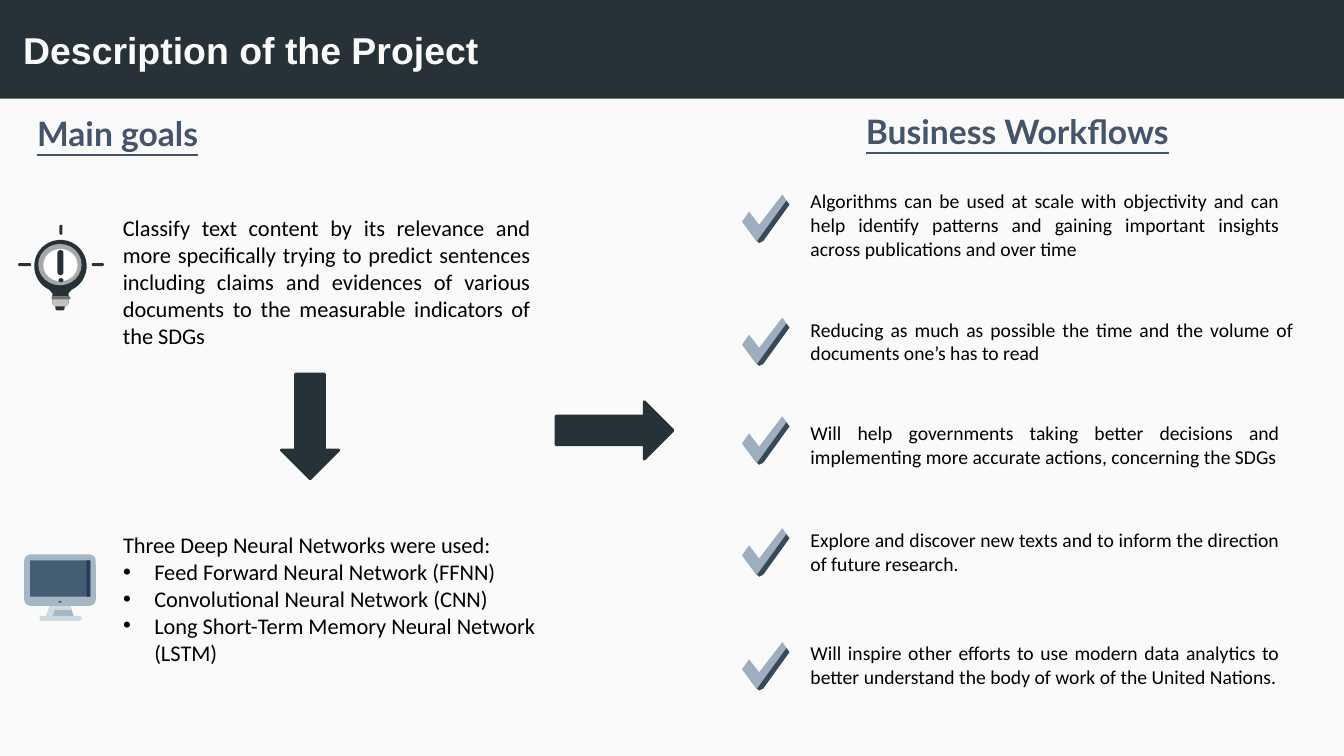
from math import cos, radians, sin

from pptx import Presentation
from pptx.dml.color import RGBColor
from pptx.enum.shapes import MSO_SHAPE
from pptx.enum.text import MSO_ANCHOR, MSO_AUTO_SIZE, PP_ALIGN
from pptx.oxml.ns import qn
from pptx.util import Inches, Pt

DARK, PALE, BLACK, HEADING = "263238", "FAFAFA", "000000", "44546A"
STEEL, SILVER, SCREEN = "A5B7C5", "CFD9E0", "445D73"

WORKFLOWS = [
    (1.83, 1.93, 4.85, "Algorithms can be used at scale with objectivity and can help identify "
     "patterns and gaining important insights across publications and over time"),
    (3.1, 3.15, 4.99, "Reducing as much as possible the time and the volume of documents one’s has to read"),
    (4.13, 4.13, 4.85, "Will help governments taking better decisions and implementing more accurate "
     "actions, concerning the SDGs"),
    (5.19, 5.24, 4.85, "Explore and discover new texts and to inform the direction of future research."),
    (6.31, 6.37, 4.85, "Will inspire other efforts to use modern data analytics to better understand "
     "the body of work of the United Nations."),
]
GOAL = ("Classify text content by its relevance and more specifically trying to predict sentences "
        "including claims and evidences of various documents to the measurable indicators of the SDGs")
NETWORKS = [
    "Three Deep Neural Networks were used:",
    "Feed Forward Neural Network (FFNN)",
    "Convolutional Neural Network (CNN)",
    "Long Short-Term Memory Neural Network (LSTM)",
]


def color(value):
    """Turn a hex string into a colour."""
    return RGBColor.from_string(value)


class SlideBuilder:
    """Hold the slide and draw its kinds of element."""

    def __init__(self, slide):
        """Set the slide and its background."""
        self.slide = slide
        slide.background.fill.solid()
        slide.background.fill.fore_color.rgb = color(PALE)

    def place(self, shape, left, top, width, height):
        """Move and size a shape."""
        shape.left, shape.top = Inches(left), Inches(top)
        shape.width, shape.height = Inches(width), Inches(height)

    def paint(self, shape, fill):
        """Give a shape a flat fill without outline or shadow."""
        shape.shadow.inherit = False
        shape.fill.solid()
        shape.fill.fore_color.rgb = color(fill)
        shape.line.fill.background()
        return shape

    def style(self, paragraph, size, name="Calibri", ink=BLACK, bold=False):
        """Set the font of a paragraph."""
        font = paragraph.font
        font.size, font.name, font.bold = Pt(size), name, bold
        font.color.rgb = color(ink)

    def title_bar(self, text):
        """Make the title placeholder the dark bar at the top."""
        title = self.slide.shapes.title
        self.place(title, 0, 0, 13.33, 0.98)
        title.fill.solid()
        title.fill.fore_color.rgb = color(DARK)
        frame = title.text_frame
        frame.text = text
        frame.margin_left = Inches(0.23)
        frame.vertical_anchor = MSO_ANCHOR.MIDDLE
        frame.paragraphs[0].alignment = PP_ALIGN.LEFT
        self.style(frame.paragraphs[0], 26.7, "Arial", PALE, True)

    def bullet_list(self, lines, left, top, width, height):
        """Fill the body placeholder with a lead line and bullets."""
        body = self.slide.placeholders[1]
        self.place(body, left, top, width, height)
        frame = body.text_frame
        frame.text = "\n".join(lines)
        frame.auto_size = MSO_AUTO_SIZE.NONE
        for index, paragraph in enumerate(frame.paragraphs):
            self.style(paragraph, 16)
            paragraph.space_before = Pt(0)
            properties = paragraph._p.get_or_add_pPr()
            indent = Inches(0.31) if index else 0
            properties.set("marL", str(indent))
            properties.set("indent", str(-indent))
            if index == 0:
                bullet = properties.makeelement(qn("a:buNone"), {})
                properties.find(qn("a:spcBef")).addnext(bullet)

    def text(self, text, left, top, width, height):
        """Add a wrapped one-paragraph text box and return its paragraph."""
        box = self.slide.shapes.add_textbox(Inches(left), Inches(top), Inches(width), Inches(height))
        box.text_frame.word_wrap = True
        box.text_frame.text = text
        return box.text_frame.paragraphs[0]

    def prose(self, text, size, *area):
        """Add a justified paragraph."""
        paragraph = self.text(text, *area)
        paragraph.alignment = PP_ALIGN.JUSTIFY
        self.style(paragraph, size)

    def heading(self, text, *area):
        """Add an underlined column heading."""
        paragraph = self.text(text, *area)
        self.style(paragraph, 24, "Lato", HEADING, True)
        paragraph.font.underline = True

    def arrow(self, left, top, height, rotation=0):
        """Add a block arrow."""
        shape = self.slide.shapes.add_shape(
            MSO_SHAPE.DOWN_ARROW, Inches(left), Inches(top), Inches(0.57), Inches(height))
        self.paint(shape, DARK)
        shape.line.color.rgb = color(DARK)
        shape.line.width = Pt(2)
        shape.rotation = rotation

    def preset(self, group, kind, fill, *area):
        """Add a preset shape to an icon."""
        return self.paint(group.shapes.add_shape(kind, *map(Inches, area)), fill)

    def outline(self, group, fill, points):
        """Add a closed polygon to an icon."""
        corners = [(Inches(x), Inches(y)) for x, y in points]
        builder = group.shapes.build_freeform(*corners[0], scale=1.0)
        builder.add_line_segments(corners[1:], close=True)
        return self.paint(builder.convert_to_shape(), fill)

    def tick(self, top):
        """Draw a check mark with a dark edge."""
        group = self.slide.shapes.add_group_shape()
        face = [(7.76, 0), (7.53, 0.3), (7.43, 0.17), (7.36, 0.27), (7.5, 0.46),
                (7.53, 0.48), (7.57, 0.46), (7.83, 0.1)]
        edge = [(7.8, 0.06), (7.51, 0.46), (7.53, 0.48), (7.57, 0.46), (7.83, 0.1)]
        for fill, points in (("9FAEBF", face), ("374957", edge)):
            self.outline(group, fill, [(x, top + y) for x, y in points])

    def light_bulb(self):
        """Draw the light bulb icon."""
        group = self.slide.shapes.add_group_shape()
        pill, oval = MSO_SHAPE.ROUNDED_RECTANGLE, MSO_SHAPE.OVAL
        arc = [(0.6 + 0.26 * cos(radians(angle)), 2.64 + 0.26 * sin(radians(angle)))
               for angle in range(115, 426, 10)]
        neck = [(0.68, 2.91), (0.68, 3.01), (0.65, 3.04), (0.55, 3.04), (0.52, 3.01), (0.52, 2.91)]
        self.outline(group, DARK, arc + neck)
        pieces = [
            (oval, "A8A8A8", 0.38, 2.42, 0.43, 0.41),
            (oval, "FFFFFF", 0.43, 2.47, 0.34, 0.32),
            (pill, DARK, 0.55, 3.0, 0.09, 0.08),
            (pill, DARK, 0.91, 2.61, 0.12, 0.03),
            (pill, DARK, 0.18, 2.61, 0.13, 0.03),
            (pill, DARK, 0.59, 2.23, 0.03, 0.1),
            (pill, DARK, 0.57, 2.48, 0.06, 0.25),
            (oval, DARK, 0.58, 2.76, 0.05, 0.04),
            (pill, "C2C2C2", 0.52, 2.94, 0.16, 0.1),
            (pill, "707070", 0.51, 2.94, 0.19, 0.03),
        ]
        for kind, fill, *area in pieces:
            shape = self.preset(group, kind, fill, *area)
            if kind == pill:
                shape.adjustments[0] = 0.5 if min(area[2:]) < 0.07 else 0.25

    def computer(self):
        """Draw the computer icon."""
        group = self.slide.shapes.add_group_shape()
        pill, box = MSO_SHAPE.ROUNDED_RECTANGLE, MSO_SHAPE.RECTANGLE
        self.outline(group, STEEL, [(0.6, 5.97), (0.49, 6.02), (0.46, 6.11), (0.6, 6.14),
                                    (0.73, 6.11), (0.7, 6.02)])
        self.outline(group, SILVER, [(0.6, 5.97), (0.49, 6.02), (0.46, 6.11), (0.52, 6.12),
                                     (0.54, 6.05), (0.71, 6.05), (0.7, 6.02)])
        self.preset(group, pill, STEEL, 0.24, 5.5, 0.71, 0.51).adjustments[0] = 0.12
        self.preset(group, box, SCREEN, 0.3, 5.56, 0.6, 0.36)
        self.preset(group, box, "213B55", 0.86, 5.56, 0.03, 0.36)
        self.preset(group, pill, SILVER, 0.39, 6.11, 0.42, 0.05).adjustments[0] = 0.5
        self.preset(group, MSO_SHAPE.OVAL, SCREEN, 0.58, 5.96, 0.03, 0.02)


def main():
    """Build and save the slide."""
    presentation = Presentation()
    presentation.slide_width, presentation.slide_height = Inches(13.33), Inches(7.5)
    builder = SlideBuilder(presentation.slides.add_slide(presentation.slide_layouts[1]))
    builder.title_bar("Description of the Project")
    builder.heading("Main goals", 0.27, 1.07, 2.34, 0.5)
    builder.heading("Business Workflows", 8.49, 1.05, 3.53, 0.5)
    builder.light_bulb()
    builder.prose(GOAL, 16, 1.12, 2.08, 4.24, 1.45)
    builder.arrow(2.79, 3.71, 1.04)
    builder.computer()
    builder.bullet_list(NETWORKS, 1.12, 5.22, 4.62, 1.45)
    builder.arrow(5.81, 3.69, 1.16, rotation=270)
    for text_top, tick_top, width, text in WORKFLOWS:
        builder.tick(tick_top)
        builder.prose(text, 14, 7.94, text_top, width, 0.57)
    presentation.save("out.pptx")


if __name__ == "__main__":
    main()
